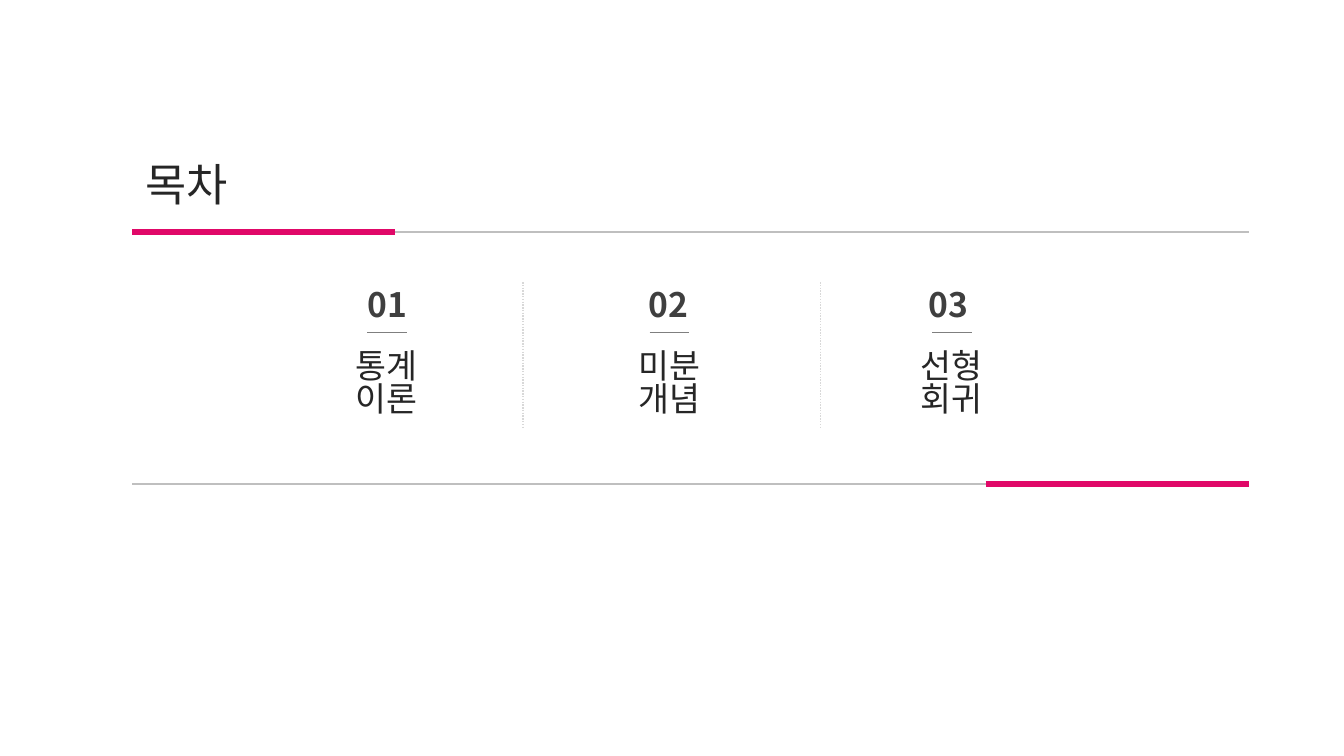
from lxml import etree
from pptx import Presentation
from pptx.dml.color import RGBColor
from pptx.enum import dml, shapes, text
from pptx.oxml import ns
from pptx.util import Cm, Pt

FONT = "Noto Sans CJK KR"
PINK, GREY, DOTS, RULE = "E00868", "BFBFBF", "D8D8D8", "7F7F7F"
DARK, NUMBER = "262626", "3F3F3F"

TITLE = "목차"
TOPICS = [("통계", "이론"), ("미분", "개념"), ("선형", "회귀")]

# Lengths in centimetres
LEFT, RIGHT, ACCENT = 3.33, 31.47, 6.63
TOP_Y, BOTTOM_Y = 5.84, 12.19
NUMBER_X, NUMBER_PITCH = 8.94, 7.07
RULE_X, RULE_W, PITCH = 9.25, 1.0, 7.12
LABEL_W = 4.5
DIVIDERS = (13.18, 20.68)


def color(hex_string):
    """Turn a hex string into a colour."""
    return RGBColor.from_string(hex_string)


def add_line(x1, y1, x2, y2, hex_string, width, dash=None):
    """Draw a straight line without a shadow."""
    line = s.shapes.add_connector(
        shapes.MSO_CONNECTOR.STRAIGHT, Cm(x1), Cm(y1), Cm(x2), Cm(y2))
    line.line.color.rgb = color(hex_string)
    line.line.width = Pt(width)
    if dash:
        line.line.dash_style = dash
    etree.SubElement(line._element.spPr, ns.qn("a:effectLst"))


def set_text(sp, lines, size, hex_string, bold=False,
             align=text.PP_ALIGN.LEFT):
    """Fill a shape with one formatted paragraph per line."""
    tf = sp.text_frame
    tf.word_wrap = True
    tf.auto_size = text.MSO_AUTO_SIZE.NONE
    tf.vertical_anchor = text.MSO_ANCHOR.TOP
    tf.margin_left = tf.margin_right = Cm(0.33)
    tf.margin_top, tf.margin_bottom = Cm(0.23), Cm(0.18)
    tf.text = "\n".join(lines)
    for p in tf.paragraphs:
        p.alignment = align
        p.line_spacing = 0.82
        p.space_before = Pt(0)
        p.font.size, p.font.bold, p.font.name = Pt(size), bold, FONT
        p.font.color.rgb = color(hex_string)
        for r in p.runs:
            east_asian = etree.SubElement(
                r._r.get_or_add_rPr(), ns.qn("a:ea"))
            east_asian.set("typeface", FONT)


def add_text(x, y, w, h, *args, **kwargs):
    """Add a formatted text box."""
    set_text(s.shapes.add_textbox(Cm(x), Cm(y), Cm(w), Cm(h)),
             *args, **kwargs)


prs = Presentation()
prs.slide_width, prs.slide_height = Cm(33.87), Cm(19.05)
s = prs.slides.add_slide(prs.slide_layouts[5])

for y, accent_x in ((TOP_Y, LEFT), (BOTTOM_Y, RIGHT - ACCENT)):
    add_line(LEFT, y, RIGHT, y, GREY, 1.5)
    add_line(accent_x, y, accent_x + ACCENT, y, PINK, 4.5)

title = s.shapes.title
title.left, title.top = Cm(LEFT), Cm(3.96)
title.width, title.height = Cm(6.27), Cm(1.52)
set_text(title, [TITLE], 32, DARK)

for x in DIVIDERS:
    add_line(x, 7.11, x, 10.77, DOTS, 1, dml.MSO_LINE.ROUND_DOT)

for i, words in enumerate(TOPICS):
    rule_x = RULE_X + i * PITCH
    add_text(NUMBER_X + i * NUMBER_PITCH, 7.11, 3.5, 1.37,
             [f"{i + 1:02}"], 24, NUMBER, bold=True)
    add_line(rule_x, 8.38, rule_x + RULE_W, 8.38, RULE, 1)
    add_text(rule_x + (RULE_W - LABEL_W) / 2, 8.64, LABEL_W, 2.11,
             words, 24, DARK, align=text.PP_ALIGN.CENTER)

prs.save("out.pptx")
